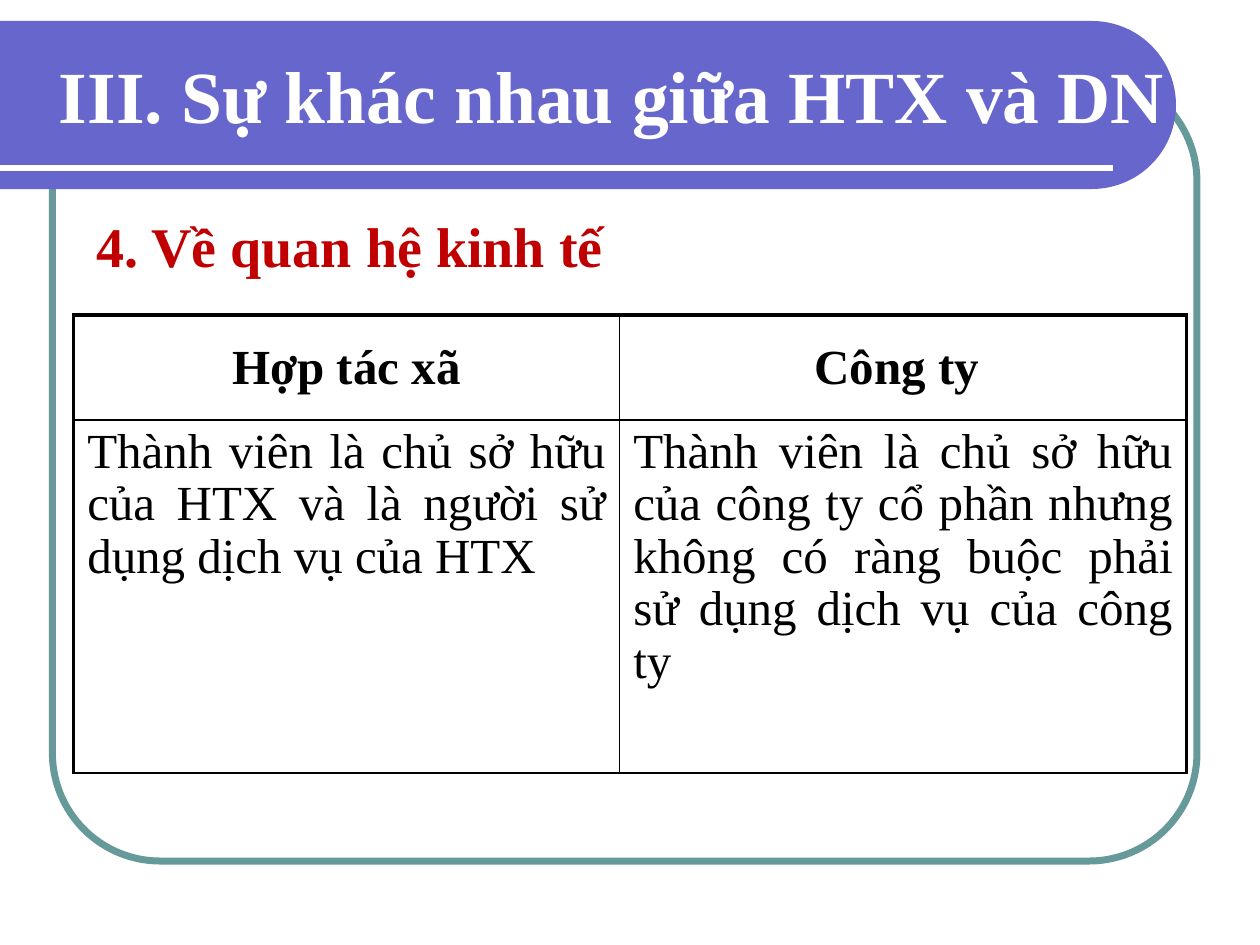
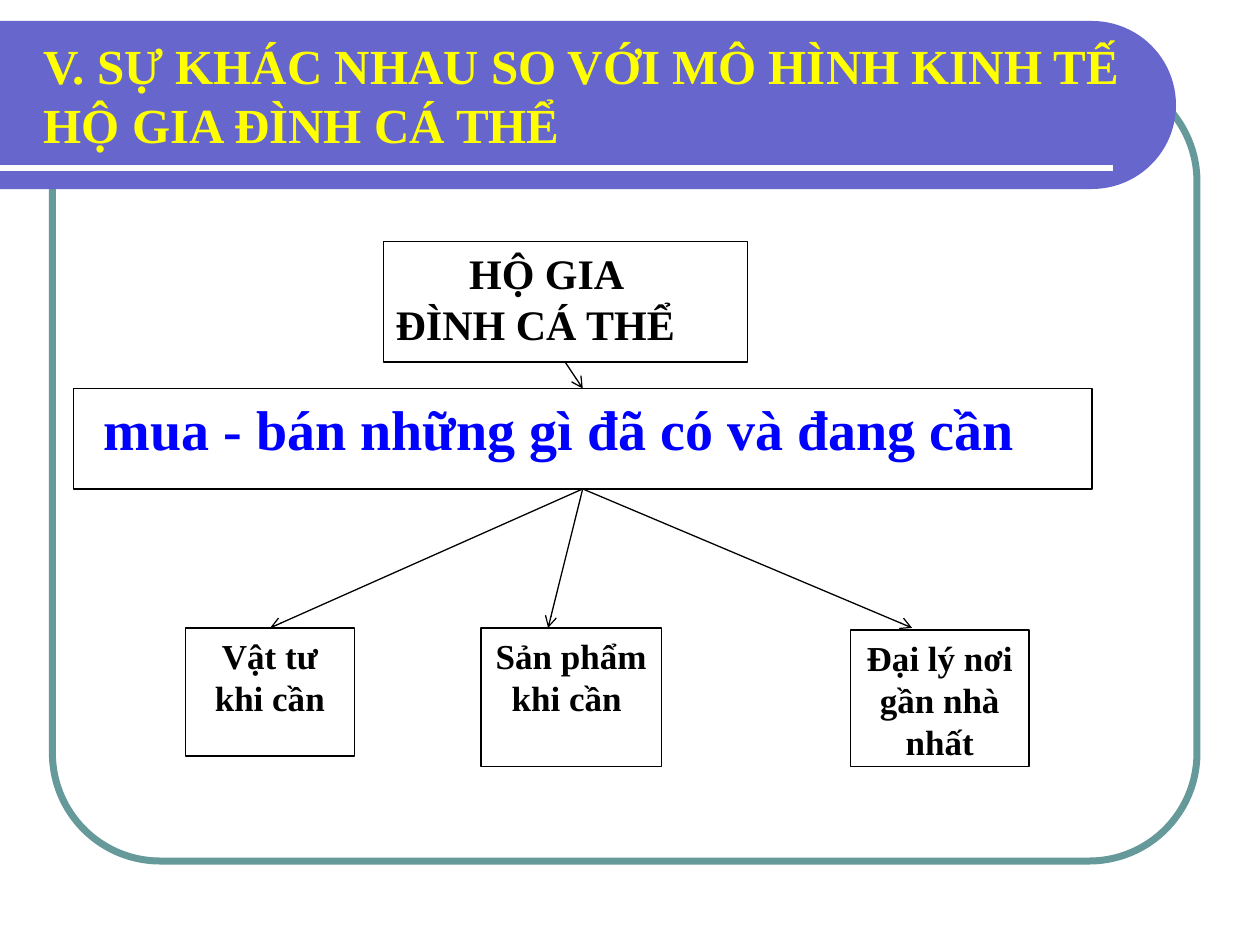
import dataclasses
import math
import typing

import lxml.etree
import pptx
import pptx.dml.color
import pptx.enum.shapes
import pptx.enum.text
import pptx.oxml.ns
import pptx.util

Pt = pptx.util.Pt
ALIGN = pptx.enum.text.PP_ALIGN
ANCHOR = pptx.enum.text.MSO_ANCHOR
SHAPE = pptx.enum.shapes.MSO_SHAPE

SERIF = "Times New Roman"
BLACK, WHITE = "000000", "FFFFFF"
BAND, FRAME = "6666CC", "669999"
RED, BLUE, YELLOW = "C00000", "0000FF", "FFFF00"
TITLE_TOP, TITLE_HEIGHT = 18, 72
THIN, THICK = 1, 2.25


@dataclasses.dataclass(frozen=True)
class Style:
    size: float
    color: str = BLACK
    bold: bool = True
    align: typing.Any = ALIGN.LEFT
    line_spacing: typing.Optional[float] = None
    indent: float = 0


@dataclasses.dataclass(frozen=True)
class Box:
    text: str
    x: float
    y: float
    w: float
    h: float
    style: Style
    margin_right: float = 7.2

    @property
    def center_x(self) -> float:
        return self.x + self.w / 2

    @property
    def bottom(self) -> float:
        return self.y + self.h


@dataclasses.dataclass(frozen=True)
class Branch:
    box: Box
    tip_x: float


HEADER = Style(28, align=ALIGN.CENTER, line_spacing=18)
BODY = Style(28, bold=False, align=ALIGN.JUSTIFY, line_spacing=30)
LEAF = Style(20, align=ALIGN.CENTER)

COLUMN_WIDTHS = (312, 324)
ROW_HEIGHTS = (60, 201.6)
COMPARISON = (
    ("Hợp tác xã", "Công ty "),
    ("Thành viên là chủ sở hữu của HTX và là người sử dụng dịch vụ của HTX",
     "Thành viên là chủ sở hữu của công ty cổ phần nhưng không có ràng buộc "
     "phải sử dụng dịch vụ của công ty"),
)

HOUSEHOLD = Box("HỘ GIA ĐÌNH CÁ THỂ", 219, 138, 208, 69, Style(24, indent=42))
TRADE = Box("mua - bán những gì đã có và đang cần", 42, 222, 582, 57.4,
            Style(32, BLUE, align=ALIGN.CENTER), margin_right=34)
BRANCHES = (
    Branch(Box("Vật tư khi cần", 106, 358.8, 96.5, 73.2, LEAF), 154.4),
    Branch(Box("Sản phẩm khi cần ", 274.8, 358.8, 103.2, 79.2, LEAF), 313.2),
    Branch(Box("Đại lý nơi gần nhà nhất", 486, 360, 102, 78, LEAF), 521.2),
)


def rgb(color: str) -> pptx.dml.color.RGBColor:
    return pptx.dml.color.RGBColor.from_string(color)


def set_attrs(obj: typing.Any, values: dict) -> None:
    for name, value in values.items():
        setattr(obj, name, value)


def set_line(line, color: str, width: float) -> None:
    line.color.rgb = rgb(color)
    line.width = Pt(width)


def sub(parent, tag: str, **attrs: str):
    return lxml.etree.SubElement(parent, pptx.oxml.ns.qn(tag), **attrs)


def write(tf, text: str, style: Style) -> None:
    p = tf.paragraphs[0]
    if style.indent:
        p._p.get_or_add_pPr().set("indent", str(Pt(style.indent)))
    p.alignment = style.align
    if style.line_spacing:
        p.line_spacing = Pt(style.line_spacing)
    r = p.add_run()
    r.text = text
    set_attrs(r.font, {"size": Pt(style.size), "name": SERIF, "bold": style.bold})
    r.font.color.rgb = rgb(style.color)


def add_text(s, box: Box, anchor=ANCHOR.TOP) -> None:
    sp = s.shapes.add_textbox(Pt(box.x), Pt(box.y), Pt(box.w), Pt(box.h))
    set_attrs(sp.text_frame, {"word_wrap": True, "vertical_anchor": anchor})
    write(sp.text_frame, box.text, box.style)


def add_box(s, box: Box) -> None:
    sp = s.shapes.add_shape(SHAPE.RECTANGLE, Pt(box.x), Pt(box.y), Pt(box.w), Pt(box.h))
    sp.shadow.inherit = False
    sp.fill.solid()
    sp.fill.fore_color.rgb = rgb(WHITE)
    set_line(sp.line, BLACK, 0.75)
    set_attrs(sp.text_frame, {
        "word_wrap": True,
        "vertical_anchor": ANCHOR.TOP,
        "margin_right": Pt(box.margin_right),
    })
    write(sp.text_frame, box.text, box.style)


def add_line(s, x1: float, y1: float, x2: float, y2: float,
             color: str, width: float, arrow: bool = False) -> None:
    sp = s.shapes.add_connector(pptx.enum.shapes.MSO_CONNECTOR.STRAIGHT,
                                Pt(x1), Pt(y1), Pt(x2), Pt(y2))
    set_line(sp.line, color, width)
    if arrow:
        sub(sp.line._get_or_add_ln(), "a:tailEnd", type="arrow")
    sub(sp._element.spPr, "a:effectLst")


def add_band(s) -> None:
    """Draw the title band, square at the left and a half circle at the right."""
    top, radius, arc_x, steps = 12, 48, 624, 48
    angles = [math.pi * (i / steps - 0.5) for i in range(steps + 1)]
    arc = [(Pt(arc_x + radius * math.cos(a)), Pt(top + radius * (1 + math.sin(a))))
           for a in angles]
    fb = s.shapes.build_freeform(0, Pt(top))
    fb.add_line_segments(arc + [(0, Pt(top + 2 * radius))], close=True)
    sp = fb.convert_to_shape()
    sp.shadow.inherit = False
    sp.fill.solid()
    sp.fill.fore_color.rgb = rgb(BAND)
    sp.line.fill.background()


def add_slide(prs, title: str, x: float, w: float, style: Style):
    s = prs.slides.add_slide(prs.slide_layouts[6])
    sp = s.shapes.add_shape(SHAPE.ROUNDED_RECTANGLE, Pt(30), Pt(42), Pt(654), Pt(450))
    sp.adjustments[0] = 0.137
    sp.shadow.inherit = False
    sp.fill.background()
    set_line(sp.line, FRAME, 4)
    add_band(s)
    add_line(s, 0, 96, 636, 96, WHITE, 3)
    add_text(s, Box(title, x, TITLE_TOP, w, TITLE_HEIGHT, style), ANCHOR.MIDDLE)
    return s


def set_borders(cell, widths: dict) -> None:
    tc_pr = cell._tc.get_or_add_tcPr()
    for side, width in widths.items():
        ln = sub(tc_pr, f"a:ln{side}", w=str(Pt(width)))
        sub(sub(ln, "a:solidFill"), "a:srgbClr", val=BLACK)


def add_comparison(s) -> None:
    table = s.shapes.add_table(len(ROW_HEIGHTS), len(COLUMN_WIDTHS), Pt(42), Pt(180),
                               Pt(sum(COLUMN_WIDTHS)), Pt(sum(ROW_HEIGHTS))).table
    set_attrs(table, {"first_row": False, "horz_banding": False})
    for column, width in zip(table.columns, COLUMN_WIDTHS):
        column.width = Pt(width)
    last = len(COLUMN_WIDTHS) - 1
    for i, (height, texts) in enumerate(zip(ROW_HEIGHTS, COMPARISON)):
        table.rows[i].height = Pt(height)
        for j, text in enumerate(texts):
            cell = table.cell(i, j)
            set_attrs(cell, {
                "margin_left": Pt(7.9), "margin_right": Pt(7.9),
                "margin_top": Pt(3.6 if i else 27.6), "margin_bottom": Pt(3.6),
            })
            set_borders(cell, {
                "L": THIN if j else THICK,
                "R": THICK if j == last else THIN,
                "T": THIN if i else THICK,
                "B": THIN,
            })
            cell.fill.background()
            write(cell.text_frame, text, BODY if i else HEADER)


def build_relations_slide(prs) -> None:
    s = add_slide(prs, "III. Sự khác nhau giữa HTX và DN", 15, 669,
                  Style(42, WHITE, align=ALIGN.CENTER))
    add_text(s, Box("4. Về quan hệ kinh tế", 48, 126, 624, 42,
                    Style(32, RED, line_spacing=30)))
    add_comparison(s)


def build_household_slide(prs) -> None:
    s = add_slide(prs, "V. SỰ KHÁC NHAU SO VỚI MÔ HÌNH KINH TẾ HỘ GIA ĐÌNH CÁ THỂ",
                  18, 666, Style(28, YELLOW))
    for box in (HOUSEHOLD, TRADE, *(b.box for b in BRANCHES)):
        add_box(s, box)
    add_line(s, HOUSEHOLD.center_x, HOUSEHOLD.bottom, TRADE.center_x, TRADE.y,
             BLACK, 0.75, arrow=True)
    for branch in BRANCHES:
        add_line(s, TRADE.center_x, TRADE.bottom, branch.tip_x, BRANCHES[0].box.y,
                 BLACK, 0.75, arrow=True)


def main() -> None:
    prs = pptx.Presentation()
    set_attrs(prs, {"slide_width": Pt(720), "slide_height": Pt(540)})
    build_relations_slide(prs)
    build_household_slide(prs)
    prs.save("out.pptx")


if __name__ == "__main__":
    main()
